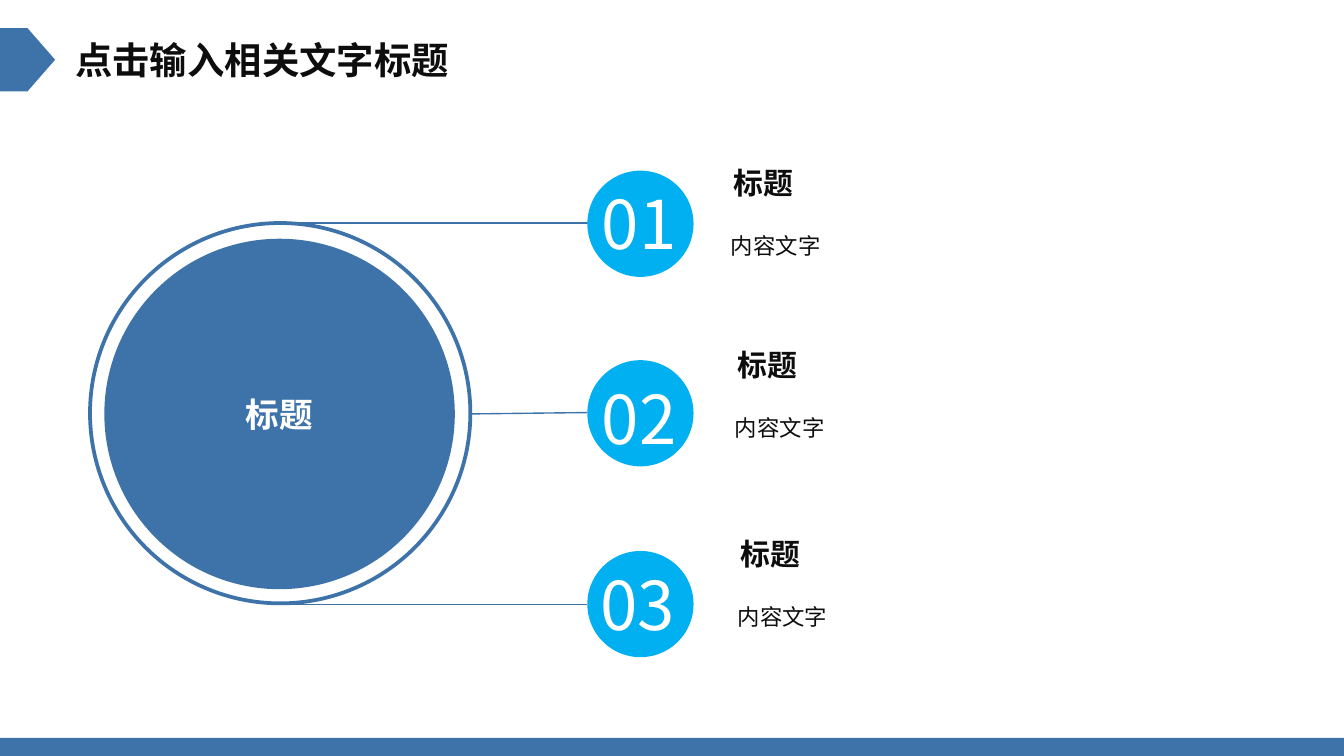
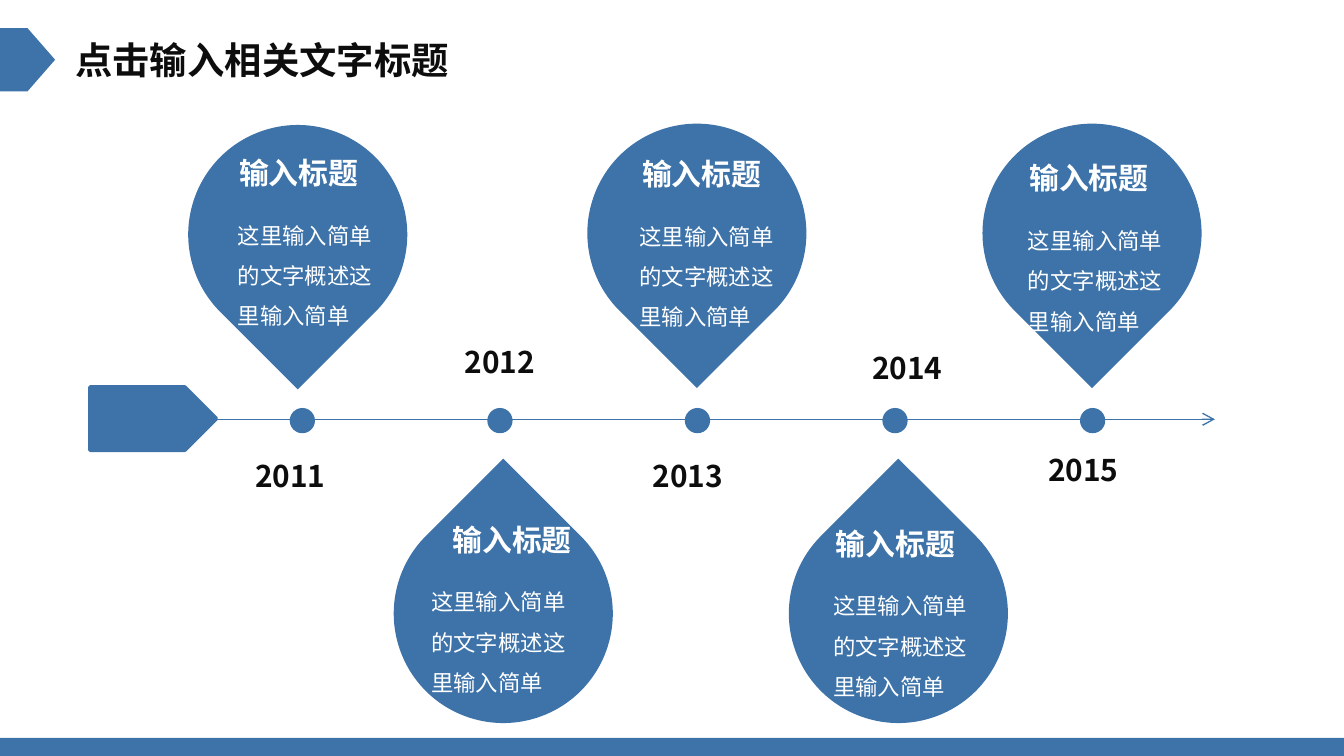
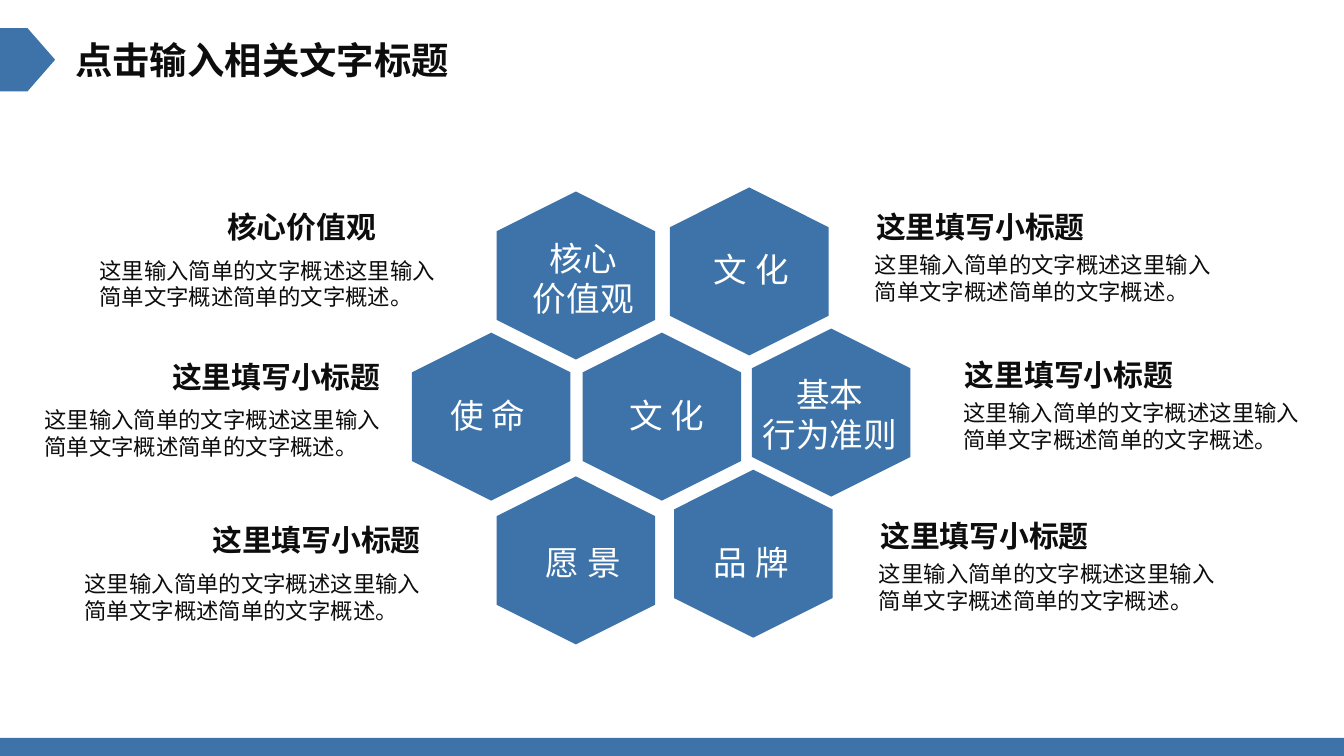
from pptx import Presentation
from pptx.dml.color import RGBColor
from pptx.enum.shapes import MSO_CONNECTOR, MSO_SHAPE
from pptx.enum.text import MSO_ANCHOR, MSO_AUTO_SIZE, PP_ALIGN
from pptx.oxml.ns import qn
from pptx.util import Inches, Pt
from lxml.etree import SubElement

COLORS = {"blue": "3D73A9", "sky": "00B0F0", "ink": "0D0D0D", "white": "FFFFFF"}
SANS = "Noto Sans CJK SC"
LATIN = "Calibri"
TITLE = "点击输入相关文字标题"


def color(name):
    return RGBColor.from_string(COLORS[name])


# Text
def add_run(paragraph, words, size, ink, font, bold=False):
    run = paragraph.add_run()
    run.text = words
    run.font.size = Pt(size)
    run.font.bold = bold
    run.font.name = font
    run.font.color.rgb = color(ink)
    SubElement(run.font._element, qn("a:ea")).set("typeface", font)


def write(frame, lines, size, ink="ink", font=SANS, bold=False,
          align=PP_ALIGN.LEFT, spacing=None):
    """Each line is a string, or a list of (words, font) runs."""
    for index, line in enumerate(lines):
        paragraph = frame.add_paragraph() if index else frame.paragraphs[0]
        paragraph.alignment = align
        paragraph.line_spacing = spacing
        runs = [(line, font)] if isinstance(line, str) else line
        for words, typeface in runs:
            add_run(paragraph, words, size, ink, typeface, bold)


def add_text(shapes, box, lines, size, wrap=True, insets=(0.1, 0.05), **style):
    frame = shapes.add_textbox(*map(Inches, box)).text_frame
    frame.word_wrap = wrap
    frame.auto_size = MSO_AUTO_SIZE.SHAPE_TO_FIT_TEXT
    frame.margin_left = frame.margin_right = Inches(insets[0])
    frame.margin_top = frame.margin_bottom = Inches(insets[1])
    write(frame, lines, size, **style)


# Shapes and lines
def add_figure(shapes, kind, box, fill="blue", outline=0, rotation=0):
    shape = shapes.add_shape(kind, *map(Inches, box))
    shape.shadow.inherit = False
    shape.rotation = rotation
    if fill:
        shape.fill.solid()
        shape.fill.fore_color.rgb = color(fill)
    else:
        shape.fill.background()
    if outline:
        shape.line.color.rgb = color("blue")
        shape.line.width = Pt(outline)
    else:
        shape.line.fill.background()
    return shape


def add_line(shapes, start, end, arrow=False):
    connector = shapes.add_connector(
        MSO_CONNECTOR.STRAIGHT, *map(Inches, start + end))
    connector.line.color.rgb = color("blue")
    connector.line.width = Pt(0.75)
    properties = connector.element.spPr
    if arrow:
        SubElement(properties.find(qn("a:ln")), qn("a:tailEnd")).set("type", "arrow")
    SubElement(properties, qn("a:effectLst"))


# Slide frame: footer band, title marker and title
def add_slide(presentation):
    slide = presentation.slides.add_slide(presentation.slide_layouts[5])
    add_figure(slide.shapes, MSO_SHAPE.RECTANGLE, (0, 5.49, 10, 0.16))
    add_figure(slide.shapes, MSO_SHAPE.PENTAGON, (0, 0.21, 0.41, 0.47))
    title = slide.shapes.title
    title.left, title.top, title.width, title.height = map(
        Inches, (0.46, 0.23, 3.01, 0.44))
    frame = title.text_frame
    frame.word_wrap = False
    frame.auto_size = MSO_AUTO_SIZE.SHAPE_TO_FIT_TEXT
    frame.vertical_anchor = MSO_ANCHOR.TOP
    write(frame, [TITLE], 20, bold=True)
    return slide


# Slide 1: a main circle with three numbered branches
def build_branches(presentation):
    shapes = add_slide(presentation).shapes
    disc = add_figure(shapes, MSO_SHAPE.OVAL, (0.79, 1.79, 2.58, 2.58), outline=2)
    disc.text_frame.vertical_anchor = MSO_ANCHOR.MIDDLE
    write(disc.text_frame, ["标题"], 18, "white", bold=True, align=PP_ALIGN.CENTER)
    add_figure(shapes, MSO_SHAPE.OVAL, (0.67, 1.66, 2.83, 2.83), None, outline=2)

    for start, end in (((2.09, 1.66), (4.38, 1.66)),
                       ((3.5, 3.08), (4.37, 3.07)),
                       ((2.09, 4.5), (4.37, 4.5))):
        add_line(shapes, start, end)

    # circle top, number place, heading place, heading font
    branches = (
        (1.27, (4.38, 1.31), (5.36, 1.18), LATIN),
        (2.68, (4.38, 2.76), (5.39, 2.53), SANS),
        (4.1, (4.37, 4.14), (5.41, 3.94), SANS),
    )
    for number, (top, place, (left, heading_top), font) in enumerate(branches, 1):
        badge = shapes.add_group_shape().shapes
        add_figure(badge, MSO_SHAPE.OVAL, (4.37, top, 0.79, 0.79), "sky")
        add_text(badge, place + (0.79, 0.71), [f"{number:02}"], 36,
                 wrap=False, ink="white")
        add_text(shapes, (left - 0.02, heading_top + 0.4, 3.88, 0.37),
                 ["内容文字"], 12, font=LATIN, spacing=1.5)
        add_text(shapes, (left, heading_top, 2.21, 0.37), ["标题"], 16,
                 font=font, bold=True)


# Slide 2: timeline with drops above and below
def build_timeline(presentation):
    shapes = add_slide(presentation).shapes
    add_figure(shapes, MSO_SHAPE.PENTAGON, (0.67, 2.88, 0.94, 0.47), outline=2)
    add_line(shapes, (1.52, 3.12), (9.04, 3.12), arrow=True)

    # year, year place, drop place, heading place, text place
    events = (
        ("2011", (1.8, 3.36), (1.4, 0.93), (1.68, 1.1), (1.67, 1.5)),
        ("2012", (3.36, 2.51), (2.93, 3.75), (3.27, 3.83), (3.11, 4.23)),
        ("2013", (4.76, 3.36), (4.37, 0.92), (4.68, 1.11), (4.66, 1.51)),
        ("2014", (6.39, 2.55), (5.87, 3.75), (6.12, 3.86), (6.1, 4.26)),
        ("2015", (7.7, 3.31), (7.31, 0.92), (7.56, 1.14), (7.55, 1.54)),
    )
    for index, (year, year_at, drop_at, heading_at, text_at) in enumerate(events):
        add_figure(shapes, MSO_SHAPE.OVAL,
                   (2.17 + 1.47 * index, 3.05, 0.16, 0.16), outline=2)
        drop = shapes.add_group_shape().shapes
        add_figure(drop, MSO_SHAPE.TEAR, drop_at + (1.63, 1.63),
                   rotation=315 if index % 2 else 135)
        add_text(drop, text_at + (1.21, 1.01), ["这里输入简单的文字概述这里输入简单"],
                 12, ink="white", font=LATIN, spacing=1.5)
        add_text(drop, heading_at + (1.72, 0.37), ["输入标题"], 16,
                 ink="white", bold=True)
        add_text(shapes, year_at + (0.86, 0.37), [year], 16, bold=True)


# Slide 3: honeycomb with notes on both sides
def add_note(shapes, heading, left, top, on_left):
    shift_x, shift_y, width = (-0.95, 0.31, 1.85) if on_left else (-0.01, 0.27, 2.56)
    insets = (0.13, 0.07)
    summary = [("这里输入简单的文字概述这里输入简单文字概述简单的文字概述", LATIN), ("。", SANS)]
    add_text(shapes, (left + shift_x, top + shift_y, 2.87, 0.54), [summary], 12,
             insets=insets)
    add_text(shapes, (left, top, width, 0.36), [heading], 16, insets=insets,
             bold=True, align=PP_ALIGN.JUSTIFY, spacing=Pt(16))


def build_honeycomb(presentation):
    shapes = add_slide(presentation).shapes
    # cell place, label box, label lines
    cells = (
        ((4.3, 2.51), (4.45, 2.89, 1.02, 0.4), ["文 化"]),
        ((3.66, 1.46), (3.83, 1.72, 1.02, 0.71), ["核心", "价值观"]),
        ((3.03, 2.51), (3.12, 2.89, 1.02, 0.4), ["使 命"]),
        ((3.66, 3.58), (3.83, 3.98, 1.02, 0.4), ["愿 景"]),
        ((4.98, 3.53), (5.08, 3.98, 1.02, 0.4), ["品 牌"]),
        ((5.56, 2.48), (5.55, 2.73, 1.25, 0.71), ["基本", "行为准则"]),
        ((4.95, 1.43), (5.08, 1.8, 1.02, 0.4), ["文 化"]),
    )
    for place, _, _ in cells:
        add_figure(shapes, MSO_SHAPE.HEXAGON, place + (1.25, 1.18), rotation=270)

    for left, top in ((6.39, 1.53), (7.05, 2.63), (6.42, 3.83)):
        add_note(shapes, "这里填写小标题", left, top, on_left=False)
    for heading, left, top in (("这里填写小标题", 1.45, 3.86),
                               ("这里填写小标题", 1.15, 2.64),
                               ("核心价值观", 1.56, 1.53)):
        add_note(shapes, heading, left, top, on_left=True)

    for _, box, lines in cells:
        add_text(shapes, box, lines, 18, ink="white", align=PP_ALIGN.CENTER)


def main():
    presentation = Presentation()
    presentation.slide_width = Inches(10)
    presentation.slide_height = Inches(10 * 9 / 16)
    build_branches(presentation)
    build_timeline(presentation)
    build_honeycomb(presentation)
    presentation.save("out.pptx")


if __name__ == "__main__":
    main()
